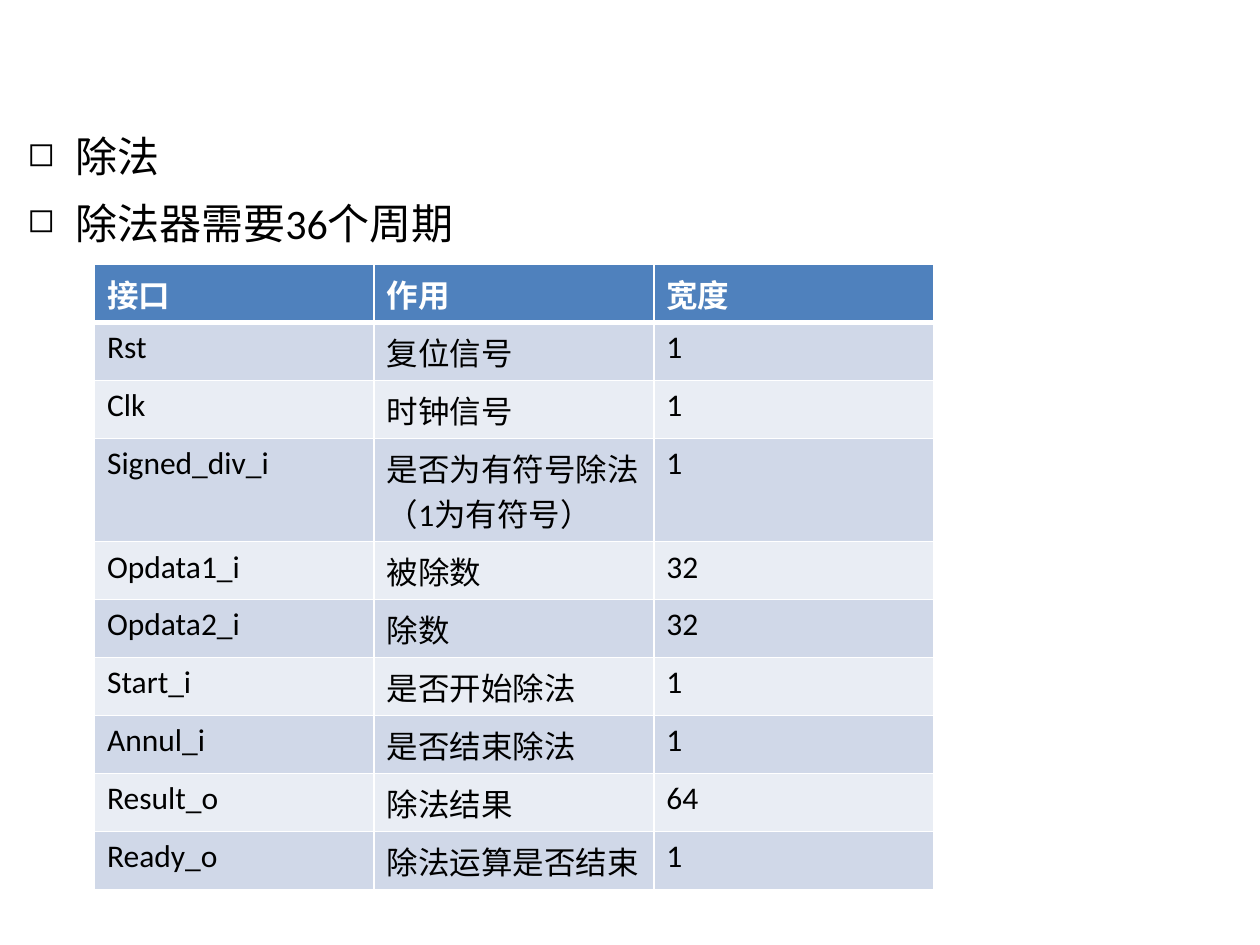
from lxml.etree import SubElement
from pptx import Presentation
from pptx.dml.color import RGBColor
from pptx.oxml.ns import qn
from pptx.util import Inches, Pt

WHITE = RGBColor(0xFF, 0xFF, 0xFF)
BLACK = RGBColor(0x00, 0x00, 0x00)
HEADER_BLUE = RGBColor(0x4F, 0x81, 0xBD)
BAND_DARK = RGBColor(0xD0, 0xD8, 0xE8)
BAND_LIGHT = RGBColor(0xE9, 0xED, 0xF4)

ROW_HEIGHT = Inches(0.46)
TWO_LINE_HEIGHT = Inches(0.82)
TWO_LINE_ROW = 3

BULLETS = ["除法", "除法器需要36个周期"]
PORTS = [
    ("接口", "作用", "宽度"),
    ("Rst", "复位信号", "1"),
    ("Clk", "时钟信号", "1"),
    ("Signed_div_i", "是否为有符号除法（1为有符号）", "1"),
    ("Opdata1_i", "被除数", "32"),
    ("Opdata2_i", "除数", "32"),
    ("Start_i", "是否开始除法", "1"),
    ("Annul_i", "是否结束除法", "1"),
    ("Result_o", "除法结果", "64"),
    ("Ready_o", "除法运算是否结束", "1"),
]


def set_font(font, size, color, bold=False):
    formats = {"name": "Calibri", "size": Pt(size), "bold": bold}
    for name, value in formats.items():
        setattr(font, name, value)
    font.color.rgb = color


def add_bullets(page, left, top, width, height):
    frame = page.shapes.add_textbox(left, top, width, height).text_frame
    frame.word_wrap = True
    for index, text in enumerate(BULLETS):
        para = frame.add_paragraph() if index else frame.paragraphs[0]
        properties = para._p.get_or_add_pPr()
        properties.set("marL", str(Inches(0.38)))
        properties.set("indent", str(Inches(-0.38)))
        SubElement(properties, qn("a:buSzPct"), val="80000")
        SubElement(properties, qn("a:buChar"), char="◻")
        para.space_before = Pt(6 if index else 0)
        para.space_after = Pt(3)
        span = para.add_run()
        span.text = text
        set_font(span.font, 24, BLACK)


def set_borders(cell, widths):
    """Draw white borders; widths maps a border tag to points."""
    properties = cell._tc.get_or_add_tcPr()
    for position, (tag, width) in enumerate(widths.items()):
        line = SubElement(properties, qn(tag), w=str(Pt(width)))
        fill = SubElement(line, qn("a:solidFill"))
        SubElement(fill, qn("a:srgbClr"), val=str(WHITE))
        properties.insert(position, line)


def add_port_table(page, left, top, width, height):
    table = page.shapes.add_table(
        len(PORTS), len(PORTS[0]), left, top, width, height).table
    for row_index, row in enumerate(PORTS):
        header = row_index == 0
        band = BAND_DARK if row_index % 2 else BAND_LIGHT
        table.rows[row_index].height = (
            TWO_LINE_HEIGHT if row_index == TWO_LINE_ROW else ROW_HEIGHT)
        for column_index, text in enumerate(row):
            cell = table.cell(row_index, column_index)
            cell.text = text
            set_font(cell.text_frame.paragraphs[0].runs[0].font, 18,
                     WHITE if header else BLACK, header)
            cell.fill.solid()
            cell.fill.fore_color.rgb = HEADER_BLUE if header else band
            set_borders(cell, {
                "a:lnL": 1, "a:lnR": 1,
                "a:lnT": 3 if row_index == 1 else 1,
                "a:lnB": 3 if header else 1,
            })


def main():
    deck = Presentation()
    deck.slide_width, deck.slide_height = Inches(10), Inches(7.5)
    page = deck.slides.add_slide(deck.slide_layouts[6])
    add_bullets(page, Inches(0.12), Inches(0.99), Inches(9.76), Inches(5.71))
    add_port_table(page, Inches(0.75), Inches(2.1), Inches(6.66), Inches(4.96))
    deck.save("out.pptx")


if __name__ == "__main__":
    main()
